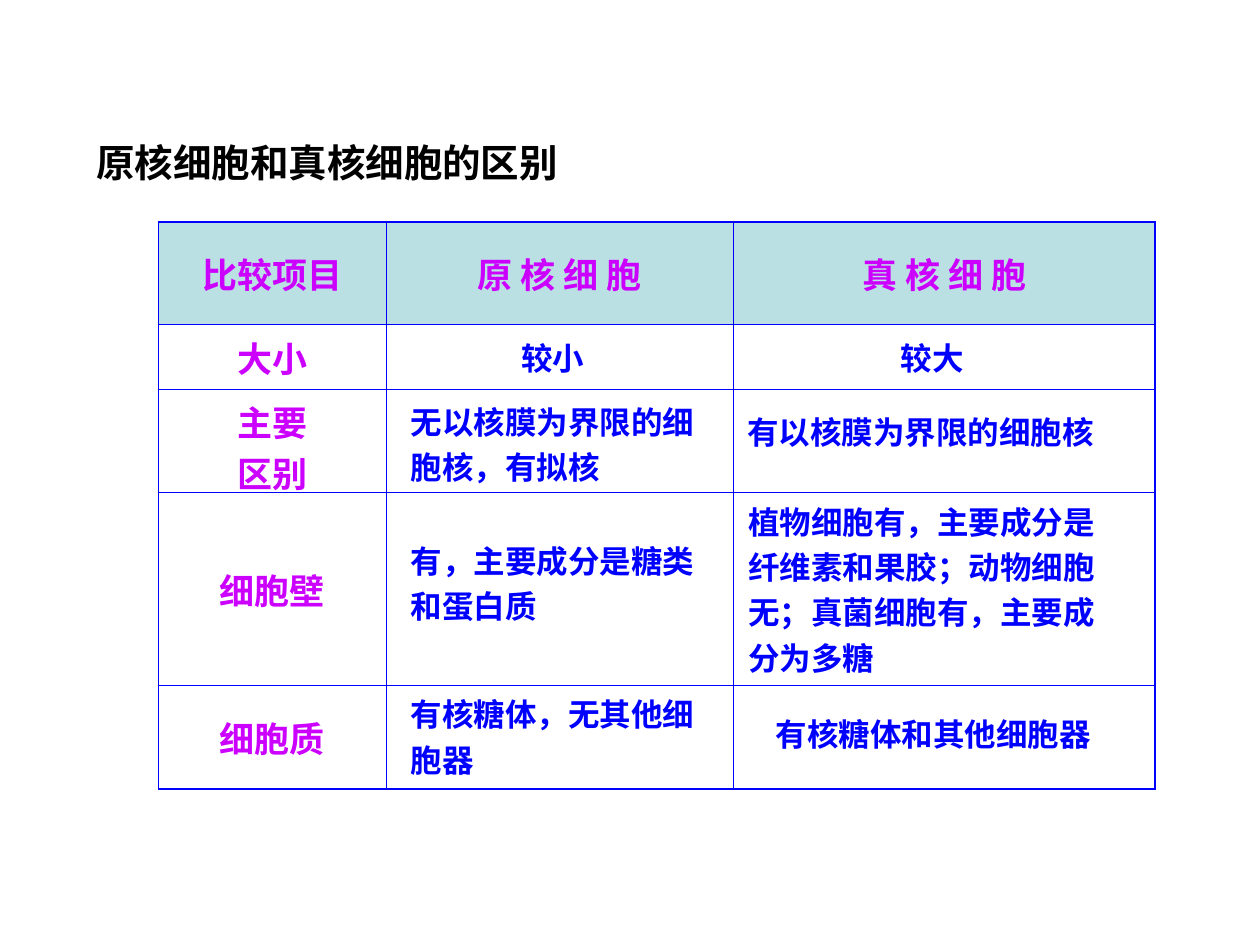
import dataclasses

import lxml.etree
import pptx
import pptx.dml.color
import pptx.enum.text
import pptx.oxml.ns
import pptx.util

Pt = pptx.util.Pt
RGB = pptx.dml.color.RGBColor
ALIGN = pptx.enum.text.PP_ALIGN
ANCHOR = pptx.enum.text.MSO_ANCHOR
qn = pptx.oxml.ns.qn


@dataclasses.dataclass(frozen=True)
class Theme:
    latin: str = "Arial"
    cjk: str = "Noto Sans CJK SC"
    black: str = "000000"
    blue: str = "0000FF"
    purple: str = "CC00FF"
    header_fill: str = "BBE0E3"
    title_size: float = 22
    label_size: float = 20
    note_size: float = 18
    outer_line: float = 1.08
    inner_line: float = 0.45


@dataclasses.dataclass(frozen=True)
class Note:
    """A comparison text laid over a table cell, measured in points."""
    left: float
    top: float
    width: float
    lines: tuple[str, ...]
    align: ALIGN = ALIGN.LEFT
    wrap: bool = False


THEME = Theme()
COLUMNS = (130, 198.5, 241)
ROWS = (58.5, 37.2, 58.9, 110.3, 59)
HEADER = ("比较项目", "原 核 细 胞", "真 核 细 胞")
LABELS = ("大小", "主要\n区别", "细胞壁", "细胞质")
NOTES = (
    Note(290.7, 185.8, 50.4, ("较小",), ALIGN.CENTER),
    Note(507.4, 185.8, 50.4, ("较大",), ALIGN.CENTER),
    Note(227.5, 222.5, 176.4, ("无以核膜为界限的细", "胞核，有拟核")),
    Note(419.8, 228.2, 235.4, ("有以核膜为界限的细胞核",), wrap=True),
    Note(227.5, 301.7, 176.4, ("有，主要成分是糖类", "和蛋白质")),
    Note(420.5, 279.4, 212.4, ("植物细胞有，主要成分是", "纤维素和果胶；动物细胞",
                               "无；真菌细胞有，主要成", "分为多糖")),
    Note(227.5, 389.5, 176.4, ("有核糖体，无其他细", "胞器")),
    Note(436.3, 401, 194.4, ("有核糖体和其他细胞器",)),
)


def style_text(tf, size: float, color: str, latin: str, align: ALIGN,
               spacing: float = 1.0) -> None:
    for p in tf.paragraphs:
        p.alignment = align
        p.line_spacing = spacing
        p.space_before = Pt(0)
        for r in p.runs:
            r.font.size = Pt(size)
            r.font.bold = True
            r.font.color.rgb = RGB.from_string(color)
            r.font.name = latin
            ea = lxml.etree.SubElement(r.font._element, qn("a:ea"))
            ea.set("typeface", THEME.cjk)


def set_borders(cell, widths: dict[str, float]) -> None:
    tc_pr = cell._tc.get_or_add_tcPr()
    for i, (side, width) in enumerate(widths.items()):
        ln = lxml.etree.Element(qn(f"a:ln{side}"), w=str(Pt(width)))
        fill = lxml.etree.SubElement(ln, qn("a:solidFill"))
        lxml.etree.SubElement(fill, qn("a:srgbClr"), val=THEME.blue)
        tc_pr.insert(i, ln)


def add_title(slide, text: str) -> None:
    s = slide.shapes.title
    s.left, s.top, s.width, s.height = Pt(48), Pt(62.6), Pt(625), Pt(46.8)
    tf = s.text_frame
    tf.text = text
    tf.word_wrap = True
    tf.auto_size = pptx.enum.text.MSO_AUTO_SIZE.SHAPE_TO_FIT_TEXT
    tf.vertical_anchor = ANCHOR.TOP
    style_text(tf, THEME.title_size, THEME.black, THEME.cjk, ALIGN.LEFT, 1.5)


def add_comparison_table(slide) -> None:
    table = slide.shapes.add_table(
        len(ROWS), len(COLUMNS), Pt(90.6), Pt(127),
        Pt(sum(COLUMNS)), Pt(sum(ROWS))).table
    table.first_row = table.horz_banding = False
    for column, width in zip(table.columns, COLUMNS):
        column.width = Pt(width)
    for row, height in zip(table.rows, ROWS):
        row.height = Pt(height)

    texts = [HEADER] + [(label, "", "") for label in LABELS]
    last_row, last_col = len(ROWS) - 1, len(COLUMNS) - 1
    for i, row_texts in enumerate(texts):
        for j, text in enumerate(row_texts):
            cell = table.cell(i, j)
            cell.vertical_anchor = ANCHOR.MIDDLE
            if text:
                cell.text_frame.text = text
                style_text(cell.text_frame, THEME.label_size, THEME.purple,
                           THEME.latin, ALIGN.CENTER)
            if i == 0:
                cell.fill.solid()
                cell.fill.fore_color.rgb = RGB.from_string(THEME.header_fill)
            else:
                cell.fill.background()
            # Heavier line around the outside of the table
            on_edge = {"L": j == 0, "R": j == last_col,
                       "T": i == 0, "B": i == last_row}
            set_borders(cell, {
                side: THEME.outer_line if edge else THEME.inner_line
                for side, edge in on_edge.items()})


def add_note(slide, note: Note) -> None:
    height = 7.2 + 25.9 * len(note.lines)
    s = slide.shapes.add_textbox(Pt(note.left), Pt(note.top),
                                 Pt(note.width), Pt(height))
    tf = s.text_frame
    tf.text = "\n".join(note.lines)
    tf.word_wrap = note.wrap
    tf.auto_size = pptx.enum.text.MSO_AUTO_SIZE.SHAPE_TO_FIT_TEXT
    style_text(tf, THEME.note_size, THEME.blue, THEME.cjk, note.align, 1.2)


def main() -> None:
    prs = pptx.Presentation()
    prs.slide_width, prs.slide_height = Pt(720), Pt(540)
    slide = prs.slides.add_slide(prs.slide_layouts.get_by_name("Title Only"))

    # Heading
    add_title(slide, "原核细胞和真核细胞的区别")
    # Grid with headings and row labels
    add_comparison_table(slide)
    # Comparison texts over the grid
    for note in NOTES:
        add_note(slide, note)

    prs.save("out.pptx")


if __name__ == "__main__":
    main()
